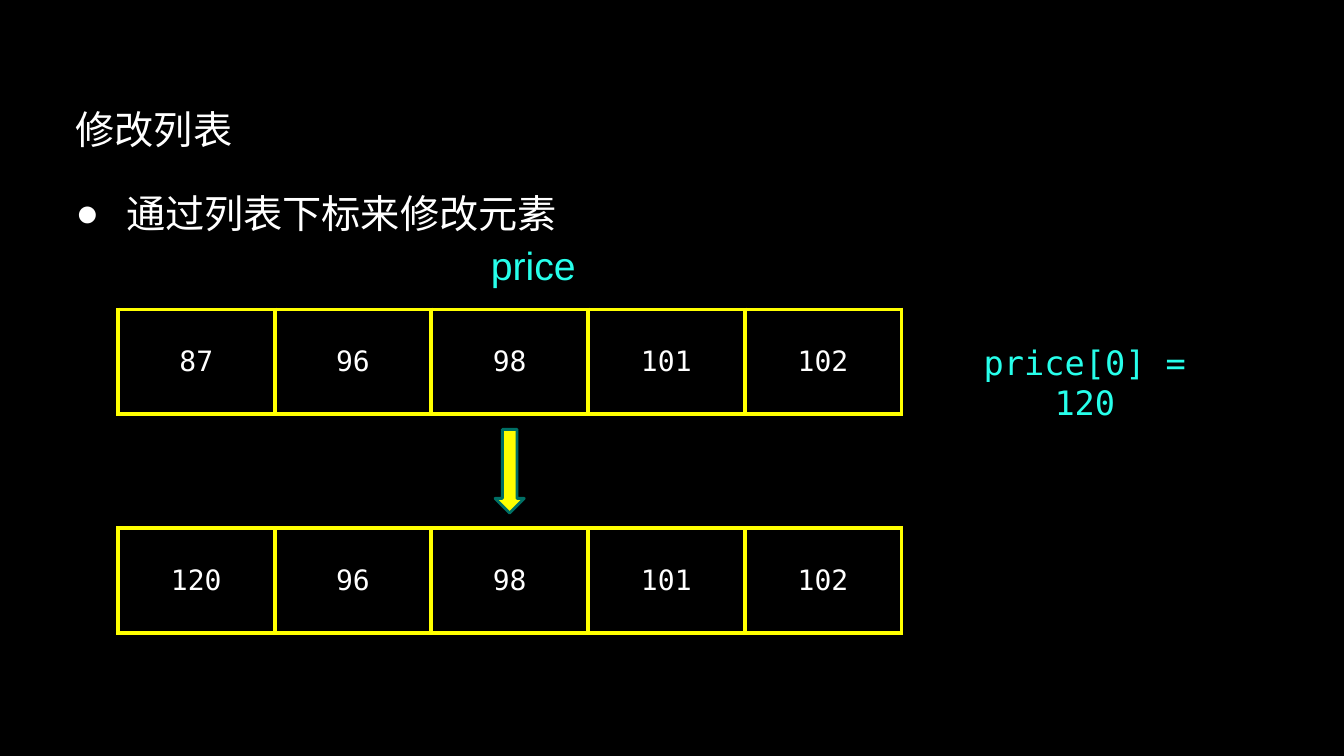
from dataclasses import dataclass

from lxml.etree import SubElement
from pptx import Presentation
from pptx.dml.color import RGBColor as RGB
from pptx.enum.shapes import MSO_SHAPE as SHAPE
from pptx.enum.text import MSO_ANCHOR as ANCHOR, MSO_AUTO_SIZE as AUTO, PP_ALIGN as ALIGN
from pptx.oxml import parse_xml
from pptx.oxml.ns import nsdecls, qn
from pptx.util import Inches, Pt


@dataclass(frozen=True)
class Theme:
    back: str = "000000"
    text: str = "FFFFFF"
    accent: str = "27FFEB"
    grid: str = "FFFF00"
    arrow_line: str = "006F65"
    sans: str = "Arial"
    mono: str = "DejaVu Sans Mono"
    heading: int = 28
    code: int = 24
    value: int = 20
    border: int = 3


T = Theme()


def place(sp, box):
    sp.left, sp.top, sp.width, sp.height = (Inches(v) for v in box)


def set_insets(target, inset):
    target.margin_left = target.margin_right = Inches(inset)
    target.margin_top = target.margin_bottom = Inches(inset)


def write(tf, text, size, font=T.sans, color=T.text, align=ALIGN.LEFT):
    p = tf.paragraphs[0]
    p.alignment = align
    r = p.add_run()
    r.text = text
    r.font.size = Pt(size)
    r.font.name = font
    r.font.color.rgb = RGB.from_string(color)
    return p


def add_title(s, box, text):
    sp = s.shapes.title
    place(sp, box)
    tf = sp.text_frame
    tf.vertical_anchor = ANCHOR.TOP
    tf.auto_size = AUTO.NONE
    write(tf, text, T.heading)


def add_bullet(s, box, text):
    sp = s.placeholders[1]
    place(sp, box)
    tf = sp.text_frame
    tf.auto_size = AUTO.NONE
    set_insets(tf, 0.13)
    p = write(tf, text, T.heading)
    p.line_spacing = 1.15
    p.space_before = Pt(0)
    pPr = p._p.get_or_add_pPr()
    pPr.set("marL", str(Inches(0.67)))
    pPr.set("indent", str(Inches(-0.5)))
    SubElement(SubElement(pPr, qn("a:buClr")), qn("a:srgbClr"), val=T.text)
    SubElement(pPr, qn("a:buFont"), typeface=T.sans)
    SubElement(pPr, qn("a:buChar"), char="●")


def add_label(s, box, text, size, font, align):
    tf = s.shapes.add_textbox(*(Inches(v) for v in box)).text_frame
    tf.word_wrap = True
    write(tf, text, size, font, T.accent, align)


def set_borders(cell):
    tcPr = cell._tc.get_or_add_tcPr()
    for i, side in enumerate(("lnL", "lnR", "lnT", "lnB")):
        tcPr.insert(i, parse_xml(
            f'<a:{side} {nsdecls("a")} w="{Pt(T.border)}"><a:solidFill>'
            f'<a:srgbClr val="{T.grid}"/></a:solidFill></a:{side}>'))


def add_list_row(s, box, values):
    frame = s.shapes.add_table(1, len(values), *(Inches(v) for v in box))
    table = frame.table
    table.first_row = table.horz_banding = False
    for column, cell, value in zip(table.columns, table.rows[0].cells, values):
        column.width = Inches(box[2] / len(values))
        cell.fill.background()
        cell.vertical_anchor = ANCHOR.MIDDLE
        set_insets(cell, 0.13)
        write(cell.text_frame, str(value), T.value, T.mono, align=ALIGN.CENTER)
        set_borders(cell)


def add_down_arrow(s, box):
    sp = s.shapes.add_shape(SHAPE.DOWN_ARROW, *(Inches(v) for v in box))
    sp.shadow.inherit = False
    sp.fill.solid()
    sp.fill.fore_color.rgb = RGB.from_string(T.grid)
    sp.line.color.rgb = RGB.from_string(T.arrow_line)
    sp.line.width = Pt(2)


def add_list_change(s, box, before, after):
    left, top, width, height = box
    row = 1.04
    add_list_row(s, (left, top, width, row), before)
    add_list_row(s, (left, top + height - row, width, row), after)
    arrow_w, arrow_h = 0.29, 0.83
    add_down_arrow(s, (left + (width - arrow_w) / 2, top + (height - arrow_h) / 2,
                       arrow_w, arrow_h))


def build_slide(prs):
    s = prs.slides.add_slide(prs.slide_layouts[1])
    s.background.fill.solid()
    s.background.fill.fore_color.rgb = RGB.from_string(T.back)
    add_title(s, (0.65, 0.99, 3.94, 0.57), "修改列表")
    add_bullet(s, (0.45, 1.68, 12.42, 4.98), "通过列表下标来修改元素")
    add_label(s, (4.77, 2.34, 1.9, 0.57), "price", T.heading, T.sans, ALIGN.LEFT)
    add_label(s, (9.36, 3.34, 2.8, 0.5), "price[0] = 120", T.code, T.mono, ALIGN.CENTER)
    price = [87, 96, 98, 101, 102]
    add_list_change(s, (1.17, 3.07, 7.77, 3.21), price, [120] + price[1:])


prs = Presentation()
prs.slide_width, prs.slide_height = Inches(13.33), Inches(7.5)
build_slide(prs)
prs.save("out.pptx")
